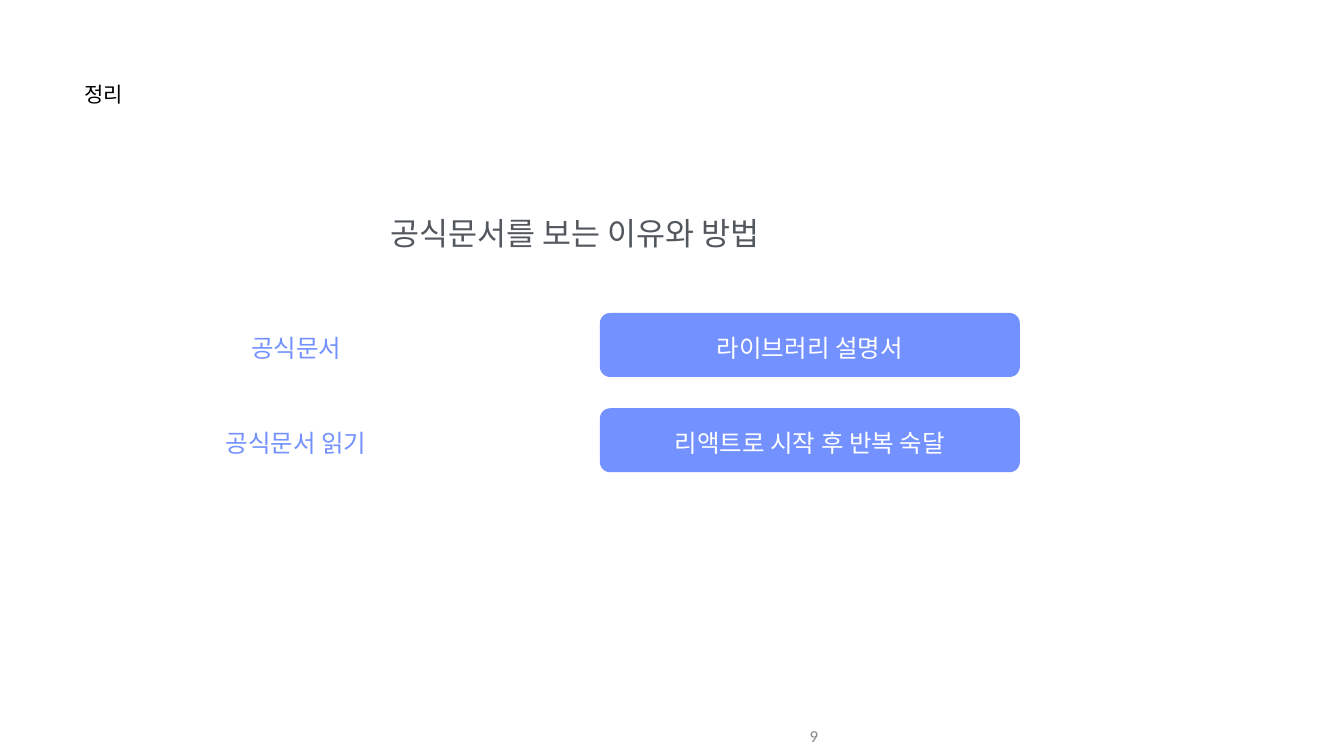
"""Build the summary slide on why and how to read official documentation."""
from pptx import Presentation
from pptx.dml.color import RGBColor
from pptx.enum import shapes, text
from pptx.util import Inches, Pt

BLACK = RGBColor(0x00, 0x00, 0x00)
WHITE = RGBColor(0xFF, 0xFF, 0xFF)
SLATE = RGBColor(0x53, 0x58, 0x5F)
GRAY = RGBColor(0x88, 0x88, 0x88)
BLUE = RGBColor(0x73, 0x91, 0xFF)

TITLE = "정리"
HEADING = "공식문서를 보는 이유와 방법"
PAGE_NUMBER = "9"
ROWS = [
    ("공식문서", "라이브러리 설명서"),
    ("공식문서 읽기", "리액트로 시작 후 반복 숙달"),
]

WIDTH, HEIGHT = 26.66, 15
TERM_LEFT, TERM_WIDTH = 2.75, 6.25
PILL_LEFT, PILL_WIDTH, PILL_HEIGHT = 11.9, 8.33, 1.27
ROW_TOP, ROW_STEP = 6.21, 1.89
TEXT_DROP = 0.1

LEFT, CENTER, RIGHT = text.PP_ALIGN.LEFT, text.PP_ALIGN.CENTER, text.PP_ALIGN.RIGHT
TOP, MIDDLE = text.MSO_ANCHOR.TOP, text.MSO_ANCHOR.MIDDLE


def write(box, words, size, color, align=CENTER, anchor=MIDDLE,
          font="Arial", margins=(0.01, 0.01, 0.01, 0.01)):
    frame = box.text_frame
    frame.word_wrap = True
    frame.auto_size = text.MSO_AUTO_SIZE.NONE
    frame.vertical_anchor = anchor
    (frame.margin_left, frame.margin_top,
     frame.margin_right, frame.margin_bottom) = map(Inches, margins)
    paragraph = frame.paragraphs[0]
    paragraph.alignment = align
    span = paragraph.add_run()
    span.text = words
    span.font.name = font
    span.font.size = Pt(size)
    span.font.color.rgb = color


def add_box(page, *place):
    return page.shapes.add_textbox(*map(Inches, place))


def add_pill(page, *place):
    pill = page.shapes.add_shape(
        shapes.MSO_SHAPE.ROUNDED_RECTANGLE, *map(Inches, place))
    pill.adjustments[0] = 0.16
    pill.shadow.inherit = False
    pill.fill.solid()
    pill.fill.fore_color.rgb = BLUE
    pill.line.fill.background()
    return pill


def main():
    deck = Presentation()
    deck.slide_width, deck.slide_height = Inches(WIDTH), Inches(HEIGHT)
    page = deck.slides.add_slide(deck.slide_layouts[5])

    title = page.shapes.title
    title.left, title.top, title.width, title.height = map(
        Inches, (1.67, 1.6, 4.86, 1.18))
    write(title, TITLE, 30, BLACK, LEFT, TOP)

    write(add_box(page, 2.64, 4.24, 17.54, 0.79), HEADING, 45, SLATE, anchor=TOP)

    row_margins = (0.01, TEXT_DROP, 0.01, 0.01)
    for index, (term, meaning) in enumerate(ROWS):
        top = ROW_TOP + index * ROW_STEP
        label = add_box(page, TERM_LEFT, top, TERM_WIDTH, PILL_HEIGHT)
        write(label, term, 35, BLUE, margins=row_margins)
        pill = add_pill(page, PILL_LEFT, top, PILL_WIDTH, PILL_HEIGHT)
        write(pill, meaning, 35, WHITE, margins=row_margins)

    write(add_box(page, 10.33, 14.21, 6, 0.79), PAGE_NUMBER, 24, GRAY, RIGHT,
          font="Calibri", margins=(0.1, 0.05, 0.1, 0.05))

    deck.save("out.pptx")


if __name__ == "__main__":
    main()
